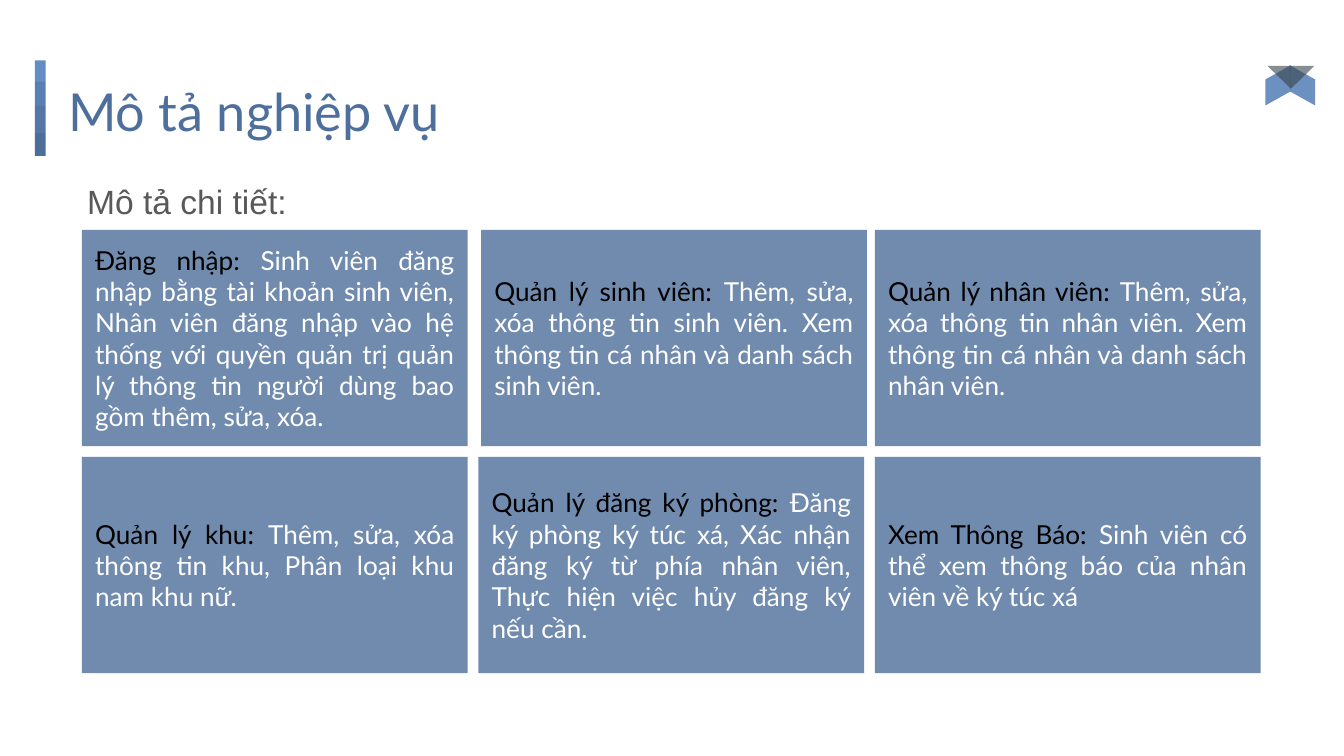
from pptx import Presentation
from pptx.dml.color import RGBColor
from pptx.enum.shapes import MSO_SHAPE as Kind
from pptx.enum.text import MSO_ANCHOR as Anchor, PP_ALIGN as Align
from pptx.oxml.ns import qn
from pptx.util import Inches, Pt
from lxml.etree import SubElement

BLUE = "4E6E9A"
CARD_W, CARD_H = 2.87, 1.61
ROWS = [
    (1.71, [
        (0.61, "Đăng nhập: ",
         "Sinh viên đăng nhập bằng tài khoản sinh viên, Nhân viên đăng nhập vào "
         "hệ thống với quyền quản trị quản lý thông tin người dùng bao gồm "
         "thêm, sửa, xóa."),
        (3.58, "Quản lý sinh viên: ",
         "Thêm, sửa, xóa thông tin sinh viên. Xem thông tin cá nhân và danh "
         "sách sinh viên."),
        (6.51, "Quản lý nhân viên: ",
         "Thêm, sửa, xóa thông tin nhân viên. Xem thông tin cá nhân và danh "
         "sách nhân viên."),
    ]),
    (3.4, [
        (0.61, "Quản lý khu: ",
         "Thêm, sửa, xóa thông tin khu, Phân loại khu nam khu nữ."),
        (3.56, "Quản lý đăng ký phòng: ",
         "Đăng ký phòng ký túc xá, Xác nhận đăng ký từ phía nhân viên, Thực "
         "hiện việc hủy đăng ký nếu cần."),
        (6.51, "Xem Thông Báo: ",
         "Sinh viên có thể xem thông báo của nhân viên về ký túc xá"),
    ]),
]
BARS = [(0.16, "648DC6"), (0.18, "5A7FB3"), (0.2, "5477A7"), (0.17, BLUE)]


def paint(target, color):
    target.rgb = RGBColor.from_string(color)


def add_shape(slide, kind, box, color, alpha=100):
    """Add a borderless shape; alpha is its opacity in percent."""
    shape = slide.shapes.add_shape(kind, *map(Inches, box))
    shape.shadow.inherit = False
    shape.line.fill.background()
    shape.fill.solid()
    paint(shape.fill.fore_color, color)
    if alpha < 100:
        tint = shape.fill._xPr.find(".//" + qn("a:srgbClr"))
        SubElement(tint, qn("a:alpha")).set("val", str(alpha * 1000))
    return shape


def set_frame(frame, anchor):
    frame.word_wrap = True
    frame.vertical_anchor = anchor
    frame.margin_left = frame.margin_right = Inches(0.1)
    frame.margin_top = frame.margin_bottom = Inches(0.1)
    return frame.paragraphs[0]


def add_run(para, text, size, font, color):
    run = para.add_run()
    run.text = text
    run.font.size = Pt(size)
    run.font.name = font
    paint(run.font.color, color)


def add_text(slide, box, text, size, font, color):
    frame = slide.shapes.add_textbox(*map(Inches, box)).text_frame
    para = set_frame(frame, Anchor.TOP)
    add_run(para, text, size, font, color)
    return para


def add_card(slide, left, top, label, body):
    card = add_shape(slide, Kind.RECTANGLE, (left, top, CARD_W, CARD_H), BLUE, 80)
    para = set_frame(card.text_frame, Anchor.MIDDLE)
    para.alignment = Align.JUSTIFY
    add_run(para, label, 14, "Lato", "000000")
    add_run(para, body, 14, "Lato", "FFFFFF")


def add_bars(slide):
    top = 0.45
    for height, color in BARS:
        add_shape(slide, Kind.RECTANGLE, (0.26, top, 0.08, height), color)
        top += height


def add_ribbon(slide):
    for left, flip in ((9.54, False), (9.36, True)):
        wing = add_shape(slide, Kind.PARALLELOGRAM, (left, 0.54, 0.3, 0.19),
                         "5E85B9", 91)
        wing.adjustments[0] = 0.56
        wing.rotation = 90
        if flip:
            wing._element.spPr.xfrm.set("flipH", "1")
    fold = add_shape(slide, Kind.ISOSCELES_TRIANGLE, (9.43, 0.49, 0.35, 0.17),
                     "38444A", 60)
    fold.rotation = 180


def main():
    deck = Presentation()
    deck.slide_width = Inches(10)
    deck.slide_height = deck.slide_width * 9 // 16
    slide = deck.slides.add_slide(deck.slide_layouts[6])
    add_bars(slide)
    add_text(slide, (0.41, 0.49, 9.25, 0.63), "Mô tả nghiệp vụ",
             28, "Lato", "4E6F9B")
    lead = add_text(slide, (0.43, 1.2, 9.25, 0.43), "Mô tả chi tiết:",
                    18, "Arial", "595959")
    lead.line_spacing = 1.15
    props = lead._p.get_or_add_pPr()
    props.set("marL", str(Inches(0.5)))
    props.set("indent", str(Inches(-0.38)))
    add_ribbon(slide)
    for top, cards in ROWS:
        for left, label, body in cards:
            add_card(slide, left, top, label, body)
    deck.save("out.pptx")


if __name__ == "__main__":
    main()
